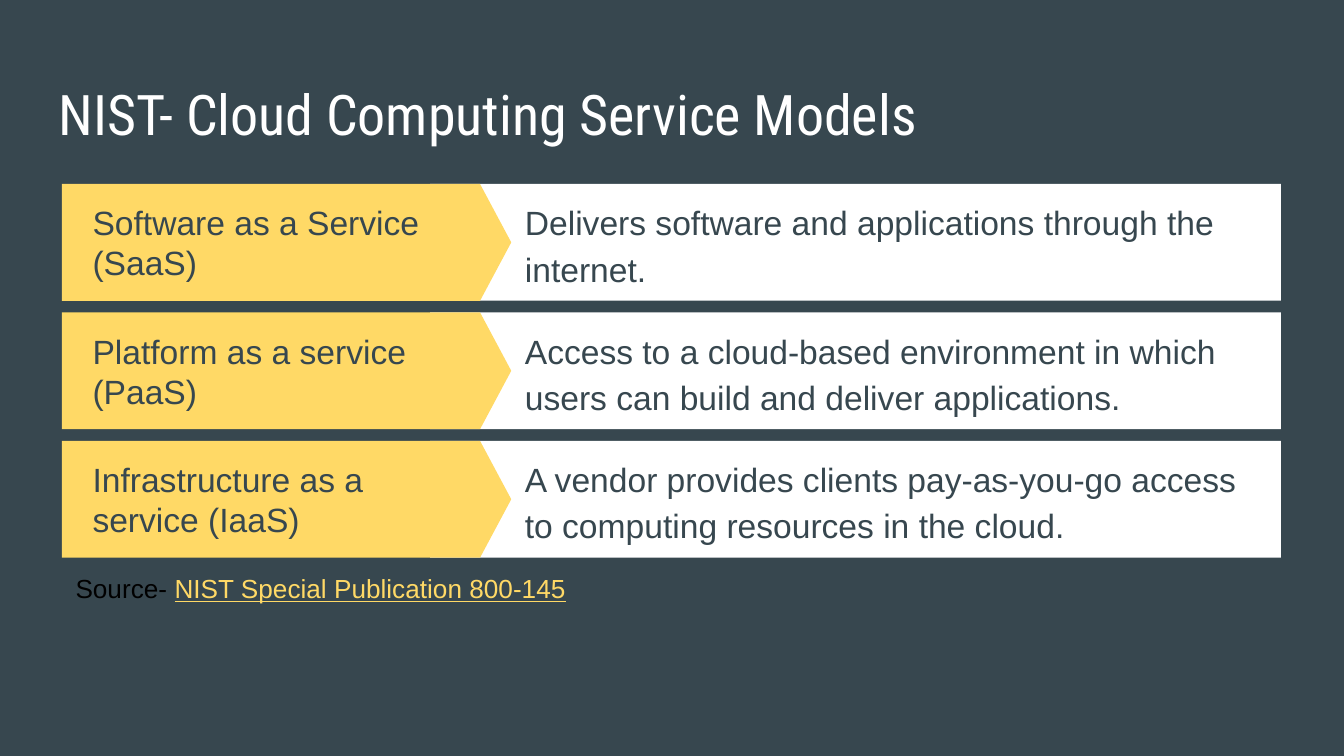
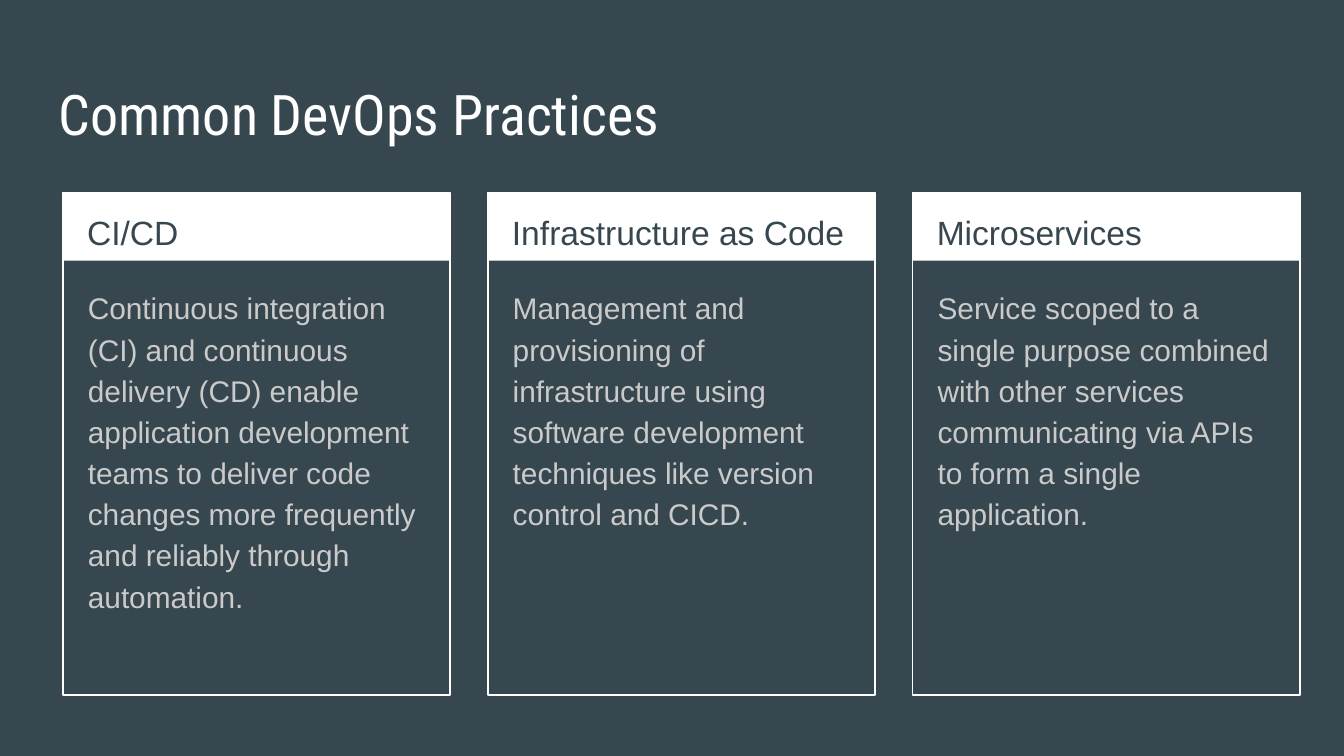
from pptx import Presentation
from pptx.dml.color import RGBColor
from pptx.enum.shapes import MSO_SHAPE
from pptx.enum.text import MSO_ANCHOR
from pptx.util import Pt

# Content
MODELS_TITLE = "NIST- Cloud Computing Service Models"
MODELS = [
    ("Software as a Service (SaaS)",
     "Delivers software and applications through the internet."),
    ("Platform as a service (PaaS)",
     "Access to a cloud-based environment in which users can build and "
     "deliver applications."),
    ("Infrastructure as a service (IaaS)",
     "A vendor provides clients pay-as-you-go access to computing resources "
     "in the cloud."),
]
SOURCE_LABEL, SOURCE_NAME = "Source- ", "NIST Special Publication 800-145"

PRACTICES_TITLE = "Common DevOps Practices"
PRACTICES = [
    ("CI/CD",
     "Continuous integration (CI) and continuous delivery (CD) enable "
     "application development teams to deliver code changes more frequently "
     "and reliably through automation."),
    ("Infrastructure as Code",
     "Management and provisioning of infrastructure using software "
     "development techniques like version control and CICD."),
    ("Microservices",
     "Service scoped to a single purpose combined with other services "
     "communicating via APIs to form a single application."),
]

# Shared style
SLATE = RGBColor(0x37, 0x47, 0x4F)
WHITE = RGBColor(0xFF, 0xFF, 0xFF)
YELLOW = RGBColor(0xFF, 0xD9, 0x66)
GREY = RGBColor(0xCA, 0xCA, 0xCA)
BLACK = RGBColor(0, 0, 0)
TITLE_FONT, BODY_FONT = "Roboto Condensed", "Arial"
INSET = Pt(7.2)

# Layout, in points
ROW_TOP, ROW_HEIGHT, ROW_PITCH = 98.6, 62.6, 68.8
CARD_LEFT, CARD_TOP, CARD_WIDTH, CARD_PITCH = 33.8, 103, 207.4, 227.6
CARD_HEIGHT, HEADER_HEIGHT = 269.3, 36.7


def add_text(slide, box, text, size, color, font=BODY_FONT,
             spacing=1.0, anchor=MSO_ANCHOR.TOP):
    """Add a wrapped text box and return its paragraph."""
    frame = slide.shapes.add_textbox(*map(Pt, box)).text_frame
    frame.word_wrap = True
    frame.vertical_anchor = anchor
    frame.margin_left = frame.margin_right = INSET
    frame.margin_top = frame.margin_bottom = INSET
    paragraph = frame.paragraphs[0]
    paragraph.add_run().text = text
    paragraph.line_spacing = spacing
    paragraph.font.name = font
    paragraph.font.size = Pt(size)
    paragraph.font.color.rgb = color
    return paragraph


def add_block(slide, box, fill=None, line=None, kind=MSO_SHAPE.RECTANGLE):
    """Add a preset shape with a plain fill, a thin outline, or neither."""
    shape = slide.shapes.add_shape(kind, *map(Pt, box))
    shape.shadow.inherit = False
    if fill is None:
        shape.fill.background()
    else:
        shape.fill.solid()
        shape.fill.fore_color.rgb = fill
    if line is None:
        shape.line.fill.background()
    else:
        shape.line.color.rgb = line
        shape.line.width = Pt(0.75)
    return shape


def add_slide(presentation, title):
    slide = presentation.slides.add_slide(presentation.slide_layouts[6])
    slide.background.fill.solid()
    slide.background.fill.fore_color.rgb = SLATE
    add_text(slide, (24.5, 35.3, 671, 45.4), title, 30, WHITE, TITLE_FONT)
    return slide


presentation = Presentation()
presentation.slide_width, presentation.slide_height = Pt(720), Pt(405)

# Service models: one arrow row each
slide = add_slide(presentation, MODELS_TITLE)
for index, (name, description) in enumerate(MODELS):
    top = ROW_TOP + index * ROW_PITCH
    add_block(slide, (230.4, top, 455.8, ROW_HEIGHT), WHITE)
    arrow = add_block(slide, (33.2, top, 240.7, ROW_HEIGHT), YELLOW,
                      kind=MSO_SHAPE.PENTAGON)
    arrow.adjustments[0] = 0.267
    add_text(slide, (42.5, top, 190.8, ROW_HEIGHT), name, 18, SLATE,
             anchor=MSO_ANCHOR.MIDDLE)
    add_text(slide, (274.1, top, 402.5, ROW_HEIGHT), description, 18, SLATE,
             spacing=1.15, anchor=MSO_ANCHOR.MIDDLE)

# Source line
source = add_text(slide, (33.4, 299.5, 393.8, 46), SOURCE_LABEL, 14, BLACK)
source_name = source.add_run()
source_name.text = SOURCE_NAME
source_name.font.color.rgb = YELLOW
source_name.font.underline = True

# Practices: one outlined card each
slide = add_slide(presentation, PRACTICES_TITLE)
for index, (name, description) in enumerate(PRACTICES):
    left = CARD_LEFT + index * CARD_PITCH
    add_block(slide, (left, CARD_TOP, CARD_WIDTH, HEADER_HEIGHT), WHITE)
    add_block(slide, (left, CARD_TOP, CARD_WIDTH, CARD_HEIGHT), line=WHITE)
    add_text(slide, (left + 5.8, CARD_TOP, 196.6, 36), name, 18, SLATE,
             spacing=1.15)
    body = add_text(slide, (left + 6.2, 145.4, 195, 220.3), description, 16,
                    GREY, spacing=1.15)
    body.space_after = Pt(16)

presentation.save("out.pptx")
